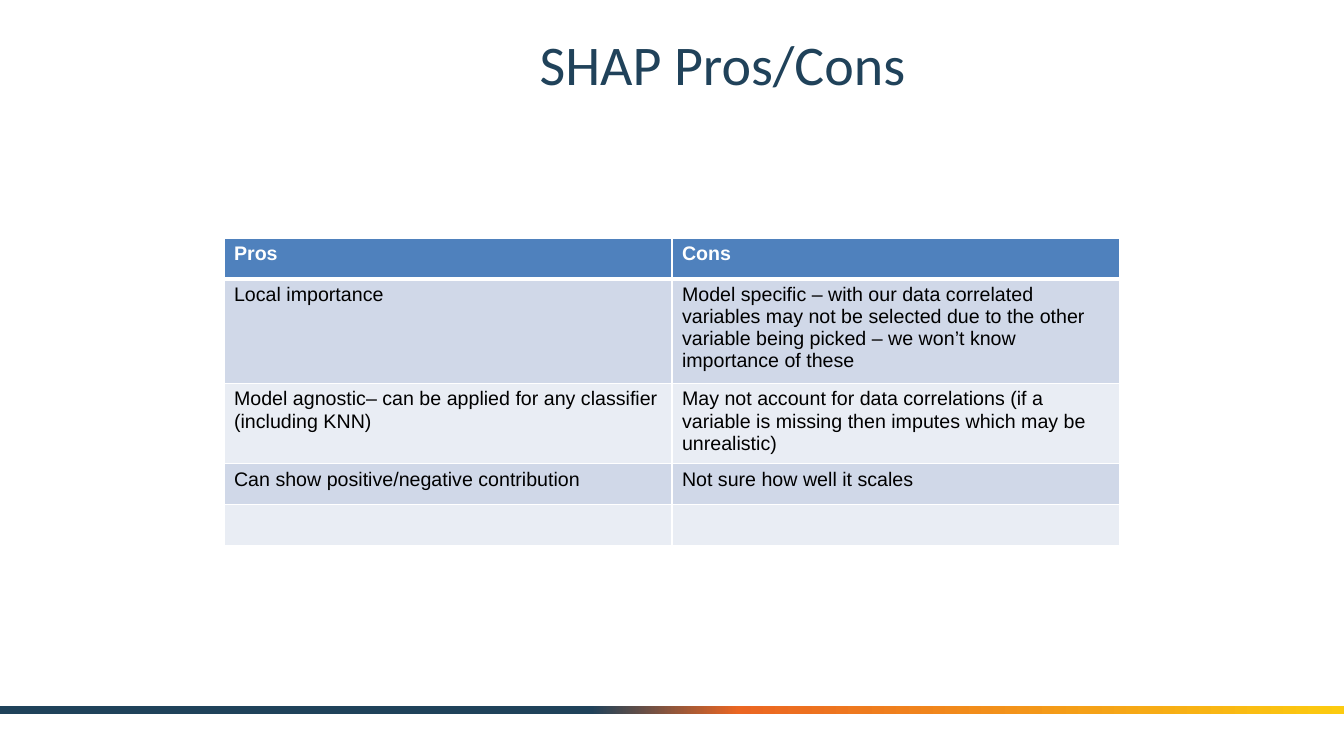
from lxml import etree
from pptx import Presentation
from pptx.dml.color import RGBColor
from pptx.enum.shapes import MSO_SHAPE
from pptx.enum.text import MSO_ANCHOR, PP_ALIGN
from pptx.oxml import parse_xml
from pptx.oxml.ns import nsdecls, qn
from pptx.util import Pt

RECT = MSO_SHAPE.RECTANGLE
MIDDLE = MSO_ANCHOR.MIDDLE
CENTER = PP_ALIGN.CENTER

NAVY = RGBColor(0x20, 0x42, 0x5A)
ORANGE = RGBColor(0xEB, 0x66, 0x22)
YELLOW = RGBColor(0xFC, 0xCB, 0x10)
BLUE = RGBColor(0x4F, 0x81, 0xBD)
BAND_DARK = RGBColor(0xD0, 0xD8, 0xE8)
BAND_LIGHT = RGBColor(0xE9, 0xED, 0xF4)
WHITE = RGBColor(0xFF, 0xFF, 0xFF)
BLACK = RGBColor(0x00, 0x00, 0x00)

ROWS = [
    ("Pros", "Cons"),
    ("Local importance",
     "Model specific – with our data correlated variables may not be selected "
     "due to the other variable being picked – we won’t know importance of these"),
    ("Model agnostic– can be applied for any classifier (including KNN)",
     "May not account for data correlations (if a variable is missing then "
     "imputes which may be unrealistic)"),
    ("Can show positive/negative contribution", "Not sure how well it scales"),
    ("", ""),
]


class SlideBuilder:
    title_font = "Calibri"
    body_font = "Arial"

    def __init__(self, slide):
        self.s = slide

    def set_font(self, p, name, size, color, bold=False):
        f = p.font
        f.name, f.size, f.bold = name, Pt(size), bold
        f.color.rgb = color

    def gradient_bar(self, x, y, w, h, stops):
        sp = self.s.shapes.add_shape(RECT, Pt(x), Pt(y), Pt(w), Pt(h))
        sp.shadow.inherit = False
        sp.line.fill.background()
        sp.fill.gradient()
        sp.fill.gradient_angle = 0
        gs_list = next(sp._element.iter(qn("a:gsLst")))
        for gs in list(gs_list):
            gs_list.remove(gs)
        for percent, color in stops:
            gs = etree.SubElement(gs_list, qn("a:gs"), pos=str(percent * 1000))
            etree.SubElement(gs, qn("a:srgbClr"), val=str(color))

    def title(self, text, x, y, w, h):
        sp = self.s.shapes.add_textbox(Pt(x), Pt(y), Pt(w), Pt(h))
        tf = sp.text_frame
        tf.word_wrap = True
        tf.vertical_anchor = MIDDLE
        tf.margin_left = tf.margin_right = Pt(7.2)
        tf.margin_top = tf.margin_bottom = Pt(7.2)
        p = tf.paragraphs[0]
        p.text = text
        p.alignment = CENTER
        self.set_font(p, self.title_font, 40, NAVY)

    def cell_borders(self, cell, top, bottom):
        tc_pr = cell._tc.get_or_add_tcPr()
        widths = {"lnL": 1, "lnR": 1, "lnT": top, "lnB": bottom}
        for i, (tag, width) in enumerate(widths.items()):
            tc_pr.insert(i, parse_xml(
                f'<a:{tag} {nsdecls("a")} w="{Pt(width)}"><a:solidFill>'
                f'<a:srgbClr val="{WHITE}"/></a:solidFill></a:{tag}>'))

    def table(self, rows, x, y, w, row_h):
        frame = self.s.shapes.add_table(len(rows), len(rows[0]), Pt(x), Pt(y),
                                        Pt(w), Pt(row_h * len(rows)))
        table = frame.table
        for i, row in enumerate(rows):
            table.rows[i].height = Pt(row_h)
            header = i == 0
            fill = BLUE if header else BAND_DARK if i % 2 else BAND_LIGHT
            for j, text in enumerate(row):
                cell = table.cell(i, j)
                cell.fill.solid()
                cell.fill.fore_color.rgb = fill
                self.cell_borders(cell, 3 if i == 1 else 1, 3 if header else 1)
                p = cell.text_frame.paragraphs[0]
                if text:
                    p.text = text
                self.set_font(p, self.body_font, 14,
                              WHITE if header else BLACK, header)


def main():
    prs = Presentation()
    prs.slide_width, prs.slide_height = Pt(960), Pt(540)
    b = SlideBuilder(prs.slides.add_slide(prs.slide_layouts[6]))

    # Footer bar
    b.gradient_bar(0, 504, 960, 6,
                   [(0, NAVY), (44, NAVY), (55, ORANGE), (100, YELLOW)])

    # Title
    b.title("SHAP Pros/Cons", 120, 12, 792, 66)

    # Pros and cons table
    b.table(ROWS, 160, 170, 640, 29.2)

    prs.save("out.pptx")


if __name__ == "__main__":
    main()
